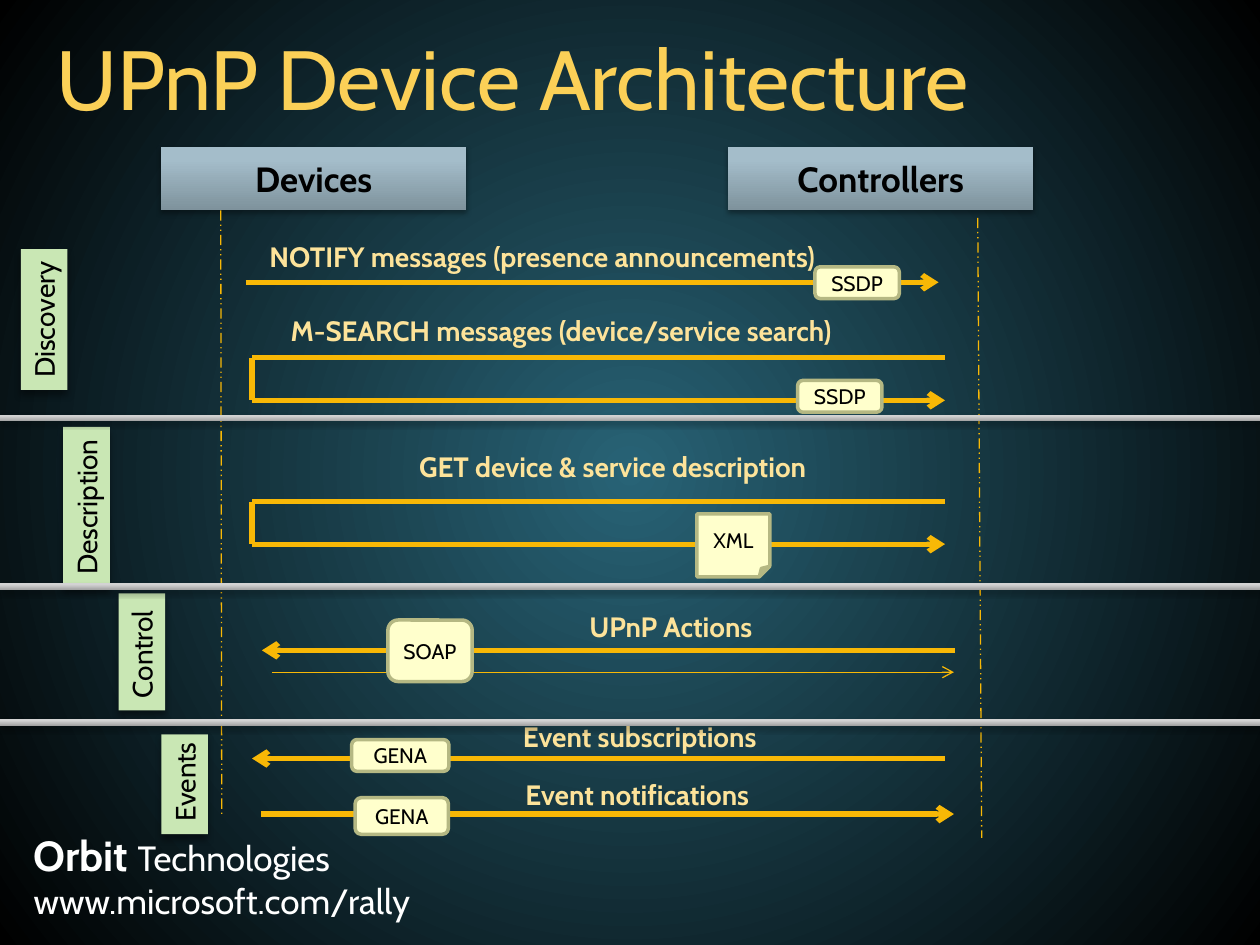
from typing import NamedTuple, Optional

from lxml import etree
from pptx import Presentation
from pptx.dml.color import RGBColor
from pptx.enum.dml import MSO_LINE
from pptx.enum.shapes import MSO_CONNECTOR, MSO_SHAPE
from pptx.enum.text import MSO_ANCHOR, MSO_AUTO_SIZE, PP_ALIGN
from pptx.oxml import parse_xml
from pptx.oxml.ns import nsdecls, qn
from pptx.util import Cm, Pt

RECT, ROUNDED, FOLDED = MSO_SHAPE.RECTANGLE, MSO_SHAPE.ROUNDED_RECTANGLE, MSO_SHAPE.FOLDED_CORNER
STRAIGHT = MSO_CONNECTOR.STRAIGHT
TOP, MIDDLE = MSO_ANCHOR.TOP, MSO_ANCHOR.MIDDLE
LEFT, CENTER = PP_ALIGN.LEFT, PP_ALIGN.CENTER
FIXED = MSO_AUTO_SIZE.NONE
LIFELINE_DASH = MSO_LINE.DASH_DOT_DOT

FONT = "Cabin"
COLORS = {
    "title": "FBD057", "message": "FDE39A", "arrow": "F8B806",
    "format": "FFFFCC", "format edge": "B5B883", "phase": "C9E7B4",
    "dark": "000000", "light": "FFFFFF",
}
BACKGROUND_STOPS = ((0, "286376"), (100, "000000"))
HEADER_STOPS = ((0, "7E929C"), (80, "A4BDCA"), (100, "A4BFCC"))
DIVIDER_STOPS = ((0, "A3A3A3"), (80, "D3D3D3"), (100, "D4D4D4"))
UPWARD = '<a:lin ang="16200000" scaled="0"/>'
RADIAL = ('<a:path path="circle"><a:fillToRect l="100000" t="100000" '
          'r="100000" b="100000"/></a:path>')

SPAN = 13.97  # length of every full message arrow
RETURN_GAP = 0.86  # request line to response line


class Box(NamedTuple):
    x: float
    y: float
    w: float
    h: float = 0.94


class Label(NamedTuple):
    text: str
    box: Box


class Format(NamedTuple):
    text: str
    box: Box
    outline: int = ROUNDED


class Shadow(NamedTuple):
    alpha: int
    blur: float
    distance: float


class Arrow(NamedTuple):
    x1: float
    x2: float
    y: float
    width: float = 3


SOFT = Shadow(35, 3.1, 1.8)
DEEP = Shadow(40, 4, 3)

HEADERS = [Label("Devices", Box(3.25, 2.97, 6.15, 1.27)),
           Label("Controllers", Box(14.68, 2.97, 6.15, 1.27))]
MESSAGES = [
    Label("NOTIFY messages (presence announcements)", Box(5.18, 4.7, 12.88)),
    Label("M-SEARCH messages (device/service search)", Box(5.61, 6.2, 12.52)),
    Label("GET device & service description", Box(8.2, 8.94, 9.35)),
    Label("UPnP Actions", Box(11.63, 12.17, 4.19)),
    Label("Event subscriptions", Box(10.29, 14.38, 7.32)),
    Label("Event notifications", Box(10.34, 15.54, 6.58)),
]
FORMATS = [
    Format("SSDP", Box(16.43, 5.38, 1.7, 0.64)),
    Format("SSDP", Box(16.08, 7.67, 1.7, 0.64)),
    Format("XML", Box(14.05, 10.36, 1.47, 1.27), FOLDED),
    Format("SOAP", Box(7.82, 12.5, 1.7, 1.24)),
    Format("GENA", Box(7.09, 14.91, 1.96, 0.64)),
    Format("GENA", Box(7.16, 16.08, 1.88, 0.74)),
]
PHASES = [
    Label("Discovery", Box(-0.53, 5.97, 2.84)),
    Label("Description", Box(0.13, 9.75, 3.23)),
    Label("Control", Box(1.68, 12.67, 2.36)),
    Label("Events", Box(2.72, 15.34, 2.01)),
]
ARROWS = [
    Arrow(5.49, 19.23, 13.55, 0.75),
    Arrow(4.95, 4.95 + SPAN, 5.69),
    Arrow(5.28 + SPAN, 5.28, 13.11),
    Arrow(5.08 + SPAN, 5.08, 15.29),
    Arrow(5.26, 5.26 + SPAN, 16.41),
]
ROUND_TRIPS = [7.21, 10.11]
LIFELINES = [(19.71, 4.39, 19.79, 16.89), (4.45, 4.24, 4.47, 16.46)]
DIVIDERS = [8.36, 11.76, 14.5]


def rgb(name: str) -> RGBColor:
    return RGBColor.from_string(COLORS[name])


def place(box: Box) -> list:
    return [Cm(length) for length in box]


def set_gradient(fill, holder, stops: tuple, direction: str) -> None:
    fill.gradient()
    default = next(holder.iter(qn("a:gradFill")))
    stop_list = "".join(
        f'<a:gs pos="{position * 1000}"><a:srgbClr val="{color}"/></a:gs>'
        for position, color in stops)
    default.getparent().replace(default, parse_xml(
        f'<a:gradFill {nsdecls("a")} rotWithShape="1">'
        f'<a:gsLst>{stop_list}</a:gsLst>{direction}</a:gradFill>'))


def style_run(run, size: float, color: str, bold: bool = False) -> None:
    run.font.name, run.font.size, run.font.bold = FONT, Pt(size), bold
    run.font.color.rgb = rgb(color)


def write(shape, text: str, size: float, color: str, bold: bool = False,
          align=LEFT, anchor=TOP, wrap: bool = True) -> None:
    frame = shape.text_frame
    frame.text = text
    frame.word_wrap, frame.auto_size, frame.vertical_anchor = wrap, FIXED, anchor
    frame.paragraphs[0].alignment = align
    style_run(frame.paragraphs[0].runs[0], size, color, bold)


def draw_shape(slide, outline: int, box: Box, shadow: Optional[Shadow] = None):
    shape = slide.shapes.add_shape(outline, *place(box))
    shape.line.fill.background()
    shape.shadow.inherit = False
    if shadow:
        effects = shape.element.spPr.find(qn("a:effectLst"))
        effects.append(parse_xml(
            f'<a:outerShdw {nsdecls("a")} blurRad="{Pt(shadow.blur)}" '
            f'dist="{Pt(shadow.distance)}" dir="5400000" rotWithShape="0">'
            f'<a:srgbClr val="{COLORS["dark"]}"><a:alpha val="{shadow.alpha * 1000}"/>'
            '</a:srgbClr></a:outerShdw>'))
    return shape


def draw_line(slide, x1: float, y1: float, x2: float, y2: float,
              width: float = 3, head: bool = False, dash=None) -> None:
    line = slide.shapes.add_connector(STRAIGHT, Cm(x1), Cm(y1), Cm(x2), Cm(y2))
    line.line.color.rgb = rgb("arrow")
    line.line.width = Pt(width)
    if dash:
        line.line.dash_style = dash
    properties = line.element.spPr
    if head:
        etree.SubElement(properties.find(qn("a:ln")), qn("a:tailEnd"), type="arrow")
    etree.SubElement(properties, qn("a:effectLst"))


def draw_round_trip(slide, y: float) -> None:
    near, far, back = 5.08, 5.08 + SPAN, y + RETURN_GAP
    draw_line(slide, far, y, near, y)
    draw_line(slide, near, back, far, back, head=True)
    draw_line(slide, near, y, near, back)


def draw_footer(slide) -> None:
    frame = slide.shapes.add_textbox(*place(Box(0.43, 16.59, 8.99, 2.13))).text_frame
    frame.word_wrap = True
    program = frame.paragraphs[0]
    for text, size, bold in (("Orbit ", 24, True), ("Technologies", 20, False)):
        run = program.add_run()
        run.text = text
        style_run(run, size, "light", bold)
    address = frame.add_paragraph()
    address.text = "www.microsoft.com/rally"
    style_run(address.runs[0], 20, "light")


def main() -> None:
    deck = Presentation()
    deck.slide_width, deck.slide_height = Cm(25.4), Cm(19.05)
    slide = deck.slides.add_slide(deck.slide_layouts[5])
    set_gradient(slide.background.fill, slide.element, BACKGROUND_STOPS, RADIAL)

    # Title and footer
    title = slide.shapes.title
    title.left, title.top, title.width, title.height = place(Box(0.89, 0.64, 23.65, 2.08))
    write(title, "UPnP Device Architecture", 48, "title")
    title.text_frame.paragraphs[0].line_spacing = 0.9
    draw_footer(slide)

    # The two parties
    for text, box in HEADERS:
        header = draw_shape(slide, RECT, box, SOFT)
        set_gradient(header.fill, header.element, HEADER_STOPS, UPWARD)
        write(header, text, 20, "dark", True, CENTER, MIDDLE)

    # Messages between them
    for x1, x2, y, width in ARROWS:
        draw_line(slide, x1, y, x2, y, width, head=True)
    for y in ROUND_TRIPS:
        draw_round_trip(slide, y)
    for text, box in MESSAGES:
        write(slide.shapes.add_textbox(*place(box)), text, 16, "message", True)

    # Message formats
    for text, box, outline in FORMATS:
        badge = draw_shape(slide, outline, box)
        badge.fill.solid()
        badge.fill.fore_color.rgb = rgb("format")
        badge.line.color.rgb = rgb("format edge")
        badge.line.width = Pt(2)
        write(badge, text, 12, "dark", align=CENTER, anchor=MIDDLE)

    # Phases, lifelines and dividers
    for text, box in PHASES:
        phase = draw_shape(slide, RECT, box, DEEP)
        phase.rotation = 270
        phase.fill.solid()
        phase.fill.fore_color.rgb = rgb("phase")
        write(phase, text, 16, "dark", wrap=False)
    for ends in LIFELINES:
        draw_line(slide, *ends, width=0.75, dash=LIFELINE_DASH)
    for y in DIVIDERS:
        divider = draw_shape(slide, RECT, Box(0, y, 25.4, 0.13), SOFT)
        set_gradient(divider.fill, divider.element, DIVIDER_STOPS, UPWARD)

    deck.save("out.pptx")


if __name__ == "__main__":
    main()
